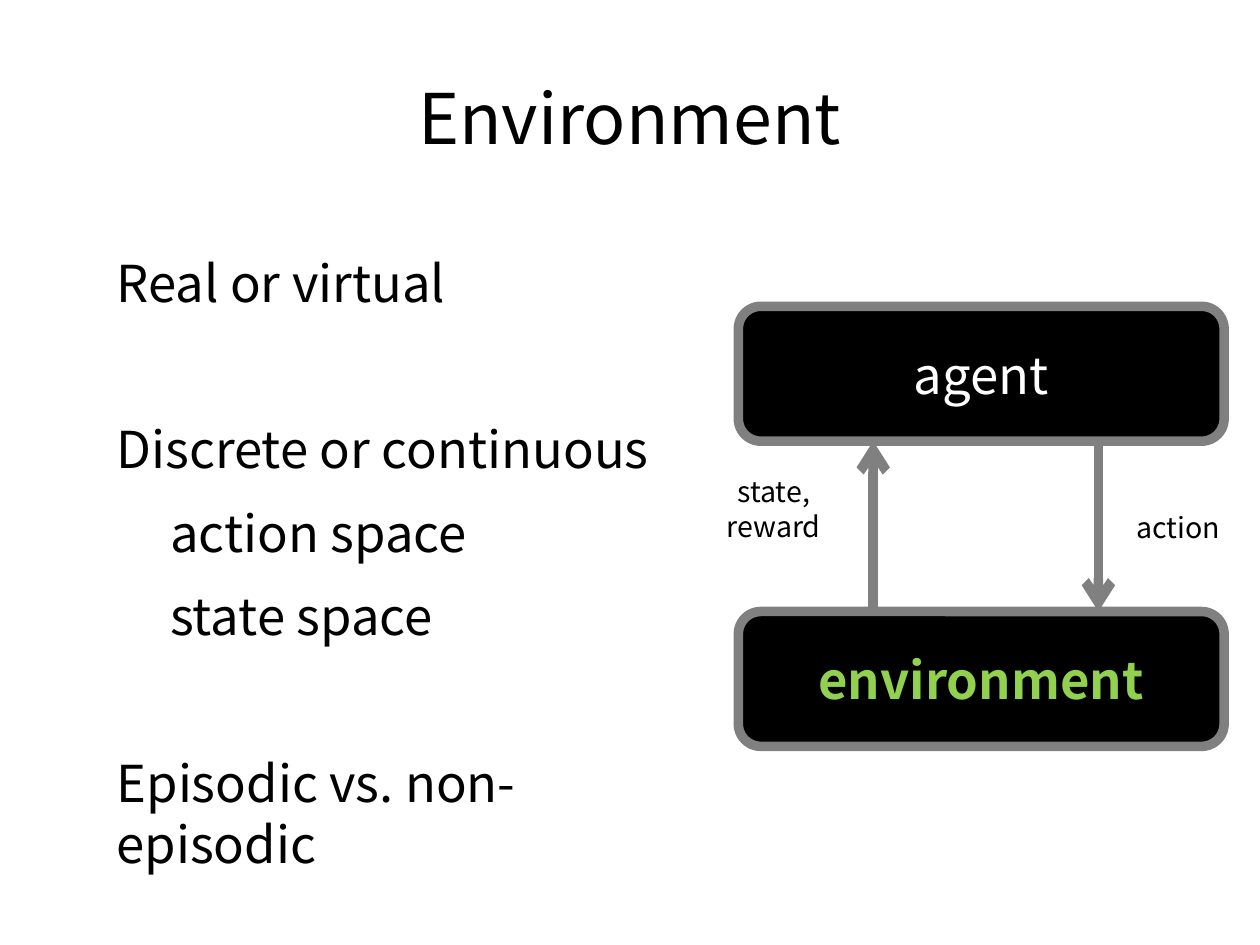
from lxml import etree
from pptx import Presentation
from pptx.dml.color import RGBColor
from pptx.enum.shapes import MSO_CONNECTOR, MSO_SHAPE
from pptx.enum.text import MSO_ANCHOR, MSO_AUTO_SIZE, PP_ALIGN
from pptx.oxml.ns import qn
from pptx.util import Inches, Pt

STRAIGHT = MSO_CONNECTOR.STRAIGHT
ROUNDED = MSO_SHAPE.ROUNDED_RECTANGLE
MIDDLE, TOP = MSO_ANCHOR.MIDDLE, MSO_ANCHOR.TOP
NO_FIT = MSO_AUTO_SIZE.NONE
CENTER, LEFT = PP_ALIGN.CENTER, PP_ALIGN.LEFT

FONT = "Noto Sans CJK JP"
BLACK, WHITE, GRAY, GREEN = "000000", "FFFFFF", "808080", "92D050"
CM_PER_INCH = 2.54
BOX_LEFT, BOX_WIDTH, BOX_HEIGHT = 6.46, 4.25, 1.18
AGENT_TOP, ENVIRONMENT_TOP = 2.68, 5.35
AGENT_BOTTOM = AGENT_TOP + BOX_HEIGHT
ITEM_GAP, GROUP_GAP = 14.2, 66.6
TOPICS = [
    ("Real or virtual", 0, ITEM_GAP),
    ("Discrete or continuous", 0, GROUP_GAP),
    ("action space", 1, ITEM_GAP),
    ("state space", 1, ITEM_GAP),
    ("Episodic vs. non-episodic", 0, GROUP_GAP),
]


def color(hex_value):
    return RGBColor.from_string(hex_value)


def set_attributes(target, values):
    for name, value in values.items():
        setattr(target, name, value)


def place(shape, left, top, width, height):
    set_attributes(shape, {
        "left": Inches(left), "top": Inches(top),
        "width": Inches(width), "height": Inches(height),
    })


def write_text(shape, lines, size, hex_value=BLACK, bold=False,
               alignment=CENTER, anchor=MIDDLE):
    frame = shape.text_frame
    set_attributes(frame, {
        "text": "\n".join(lines), "word_wrap": True, "auto_size": NO_FIT,
        "vertical_anchor": anchor, "margin_left": 0, "margin_right": 0,
        "margin_top": 0, "margin_bottom": 0,
    })
    for paragraph in frame.paragraphs:
        paragraph.alignment = alignment
        for run in paragraph.runs:
            set_attributes(run.font, {"name": FONT, "size": Pt(size), "bold": bold})
            run.font.color.rgb = color(hex_value)


def style_line(line):
    line.color.rgb = color(GRAY)
    line.width = Pt(6)


def add_topics(body):
    place(body, 0.55, 2.2, 5.51, 5.67)
    write_text(body, [text for text, _, _ in TOPICS], 32, alignment=LEFT, anchor=TOP)
    for paragraph, (_, level, gap) in zip(body.text_frame.paragraphs, TOPICS):
        set_attributes(paragraph, {"level": level, "space_before": Pt(gap)})
        properties = paragraph._p.get_or_add_pPr()
        properties.set("marL", str(Inches(0.47 * (level + 1))))
        properties.set("indent", "0")
        etree.SubElement(properties, qn("a:buNone"))


def add_box(slide, text, top, hex_value, bold=False):
    box = slide.shapes.add_shape(
        ROUNDED, Inches(BOX_LEFT), Inches(top), Inches(BOX_WIDTH), Inches(BOX_HEIGHT))
    box.shadow.inherit = False
    box.fill.solid()
    box.fill.fore_color.rgb = color(BLACK)
    style_line(box.line)
    write_text(box, [text], 32, hex_value, bold)


def add_arrow(slide, x, start, end):
    arrow = slide.shapes.add_connector(
        STRAIGHT, Inches(x), Inches(start), Inches(x), Inches(end))
    style_line(arrow.line)
    etree.SubElement(arrow.line._get_or_add_ln(), qn("a:tailEnd"), type="arrow")
    etree.SubElement(arrow._element.spPr, qn("a:effectLst"))


def add_label(slide, lines, left, top):
    label = slide.shapes.add_textbox(
        Inches(left), Inches(top), Inches(1.1), Inches(1.34))
    write_text(label, lines, 18)


def main():
    presentation = Presentation()
    presentation.slide_width = Inches(28 / CM_PER_INCH)
    presentation.slide_height = Inches(21 / CM_PER_INCH)
    slide = presentation.slides.add_slide(presentation.slide_layouts[1])
    title = slide.shapes.title
    place(title, 0.55, 0.33, 9.92, 1.38)
    write_text(title, ["Environment"], 44)
    add_topics(slide.placeholders[1])
    add_box(slide, "environment", ENVIRONMENT_TOP, GREEN, bold=True)
    add_box(slide, "agent", AGENT_TOP, WHITE)
    add_arrow(slide, 7.64, ENVIRONMENT_TOP, AGENT_BOTTOM)
    add_arrow(slide, 9.61, AGENT_BOTTOM, ENVIRONMENT_TOP)
    add_label(slide, ["action"], 9.76, 3.94)
    add_label(slide, ["state,", "reward"], 6.22, 3.78)
    presentation.save("out.pptx")


if __name__ == "__main__":
    main()
